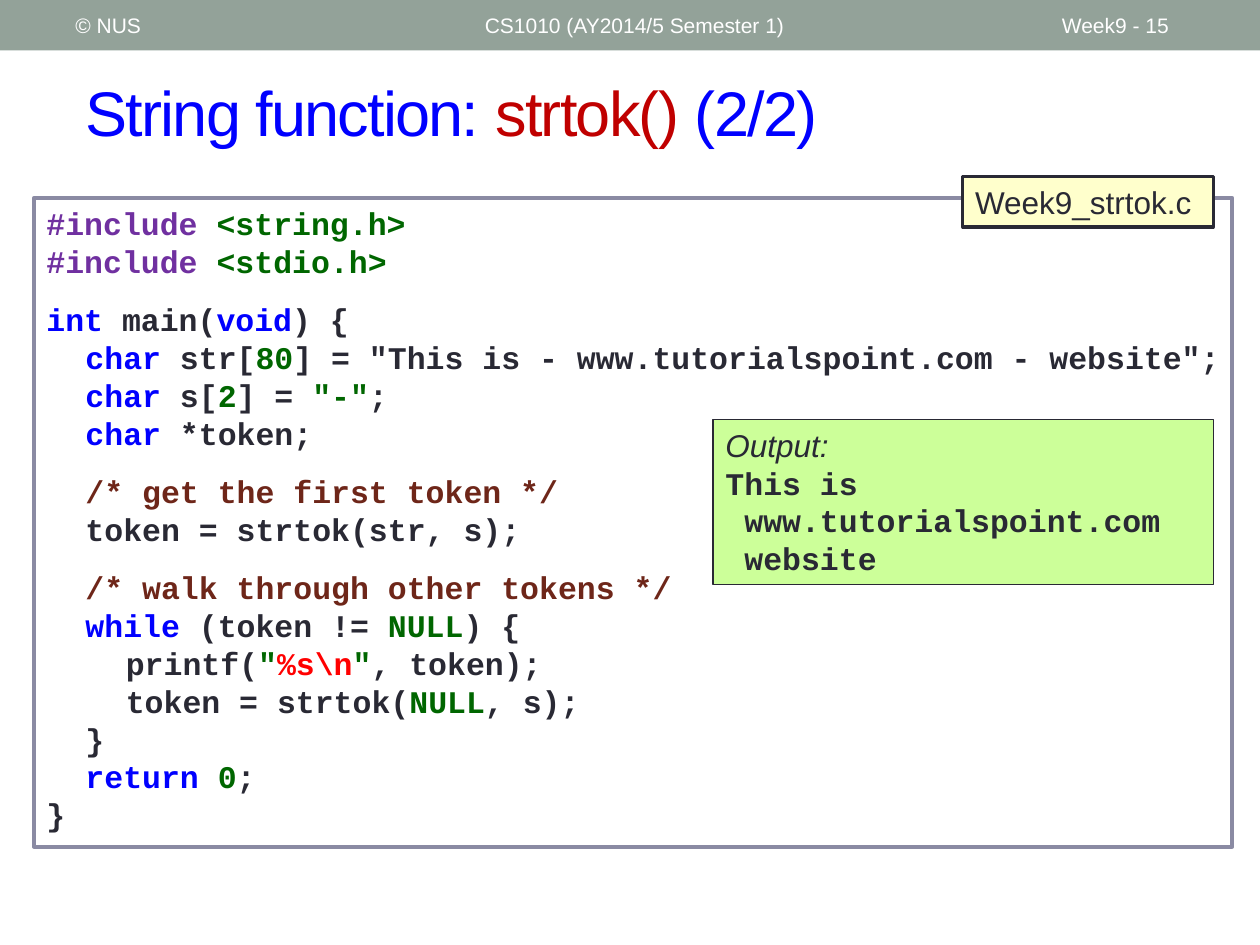
from pptx import Presentation
from pptx.dml.color import RGBColor
from pptx.enum.shapes import MSO_SHAPE
from pptx.enum.text import MSO_ANCHOR, PP_ALIGN
from pptx.oxml import parse_xml
from pptx.oxml.ns import nsdecls
from pptx.util import Inches, Pt

WHITE = RGBColor(0xFF, 0xFF, 0xFF)
SAGE = RGBColor(0x93, 0xA2, 0x99)
DARK = RGBColor(0x29, 0x29, 0x34)
BLUE = RGBColor(0x00, 0x00, 0xFF)
CRIMSON = RGBColor(0xC0, 0x00, 0x00)
RED = RGBColor(0xFF, 0x00, 0x00)
PURPLE = RGBColor(0x70, 0x30, 0xA0)
GREEN = RGBColor(0x00, 0x66, 0x00)
BROWN = RGBColor(0x6E, 0x26, 0x19)
FRAME = RGBColor(0x8A, 0x8A, 0xA3)
YELLOW = RGBColor(0xFF, 0xFF, 0xCC)
LIME = RGBColor(0xCC, 0xFF, 0x99)

presentation = Presentation()
presentation.slide_width = Inches(10)
presentation.slide_height = Inches(7.5)
slide = presentation.slides.add_slide(presentation.slide_layouts[6])


def add_box(left, top, width, height, fill=None, line=None, line_width=0):
    """Add a rectangle with top-left text and return it."""
    shape = slide.shapes.add_shape(
        MSO_SHAPE.RECTANGLE, Inches(left), Inches(top), Inches(width), Inches(height))
    shape.shadow.inherit = False
    if fill is None:
        shape.fill.background()
    else:
        shape.fill.solid()
        shape.fill.fore_color.rgb = fill
    if line is None:
        shape.line.fill.background()
    else:
        shape.line.color.rgb = line
        shape.line.width = Pt(line_width)
    shape.text_frame.vertical_anchor = MSO_ANCHOR.TOP
    shape.text_frame.paragraphs[0].alignment = PP_ALIGN.LEFT
    return shape


def add_run(paragraph, text, color, size=18, name="Arial", bold=False):
    """Append one formatted run to a paragraph and return it."""
    run = paragraph.add_run()
    run.text = text
    run.font.name = name
    run.font.size = Pt(size)
    run.font.bold = bold
    run.font.color.rgb = color
    return run


# Header band with its three labels
add_box(0, 0, 10, 0.4, SAGE)
for left, width, label in [
    (0.5, 3.17, "© NUS"),
    (3.75, 4.5, "CS1010 (AY2014/5 Semester 1)"),
    (8.33, 1.17, "Week9 - 15"),
]:
    header = slide.shapes.add_textbox(Inches(left), Inches(0.02), Inches(width), Inches(0.36))
    header.text_frame.word_wrap = True
    header.text_frame.vertical_anchor = MSO_ANCHOR.MIDDLE
    add_run(header.text_frame.paragraphs[0], label, WHITE, 12)

# Title, set slightly tight
title = slide.shapes.add_textbox(Inches(0.58), Inches(0.42), Inches(9.17), Inches(0.92))
title.text_frame.word_wrap = True
title.text_frame.vertical_anchor = MSO_ANCHOR.MIDDLE
for text, color in [("String function: ", BLUE), ("strtok() ", CRIMSON), ("(2/2)", BLUE)]:
    run = add_run(title.text_frame.paragraphs[0], text, color, 36)
    run.font._element.set("spc", "-100")

# Program listing: blocks are set apart by paragraph spacing
code_blocks = [
    [
        [("#include ", PURPLE), ("<string.h>", GREEN)],
        [("#include ", PURPLE), ("<stdio.h>", GREEN)],
    ],
    [
        [("int", BLUE), (" main(", DARK), ("void", BLUE), (") {", DARK)],
        [("\tchar ", BLUE), ("str[", DARK), ("80", GREEN),
         ('] = "This is - www.tutorialspoint.com - website";', DARK)],
        [("\tchar ", BLUE), ("s[", DARK), ("2", GREEN), ("] = ", DARK),
         ('"-"', GREEN), (";", DARK)],
        [("\tchar ", BLUE), ("*token;", DARK)],
    ],
    [
        [("\t/* get the first token */", BROWN)],
        [("\ttoken = strtok(str, s);", DARK)],
    ],
    [
        [("\t/* walk through other tokens */", BROWN)],
        [("\twhile", BLUE), (" (token != ", DARK), ("NULL", GREEN), (") {", DARK)],
        [("\t\tprintf(", DARK), ('"', GREEN), ("%s\\n", RED), ('"', GREEN),
         (", token);", DARK)],
        [("\t\ttoken = strtok(", DARK), ("NULL", GREEN), (", s);", DARK)],
        [("\t}", DARK)],
        [("\treturn ", BLUE), ("0", GREEN), (";", DARK)],
        [("}", DARK)],
    ],
]
code_frame = add_box(0.27, 1.57, 9.51, 5.15, line=FRAME, line_width=2.25).text_frame
code_frame.word_wrap = True
paragraph = code_frame.paragraphs[0]
for block_index, block in enumerate(code_blocks):
    for line_index, line in enumerate(block):
        if block_index or line_index:
            paragraph = code_frame.add_paragraph()
        paragraph.alignment = PP_ALIGN.LEFT
        if block_index and line_index == 0:
            paragraph.space_before = Pt(11.8)
        tab_list = parse_xml(f"<a:tabLst {nsdecls('a')}/>")
        for stop in (0.31, 0.63, 0.93):
            tab_list.append(parse_xml(
                f'<a:tab {nsdecls("a")} pos="{Inches(stop)}" algn="l"/>'))
        paragraph._p.get_or_add_pPr().append(tab_list)
        for text, color in line:
            add_run(paragraph, text, color, name="Courier New", bold=True)

# File name tag
tag = add_box(7.64, 1.4, 1.99, 0.4, YELLOW, DARK, 2.08)
add_run(tag.text_frame.paragraphs[0], "Week9_strtok.c", DARK)

# Program output
output_frame = add_box(5.66, 3.33, 3.97, 1.31, LIME, DARK, 0.75).text_frame
output_frame.word_wrap = True
heading = add_run(output_frame.paragraphs[0], "Output:", DARK)
heading.font.italic = True
for text in ["This is", " www.tutorialspoint.com", " website"]:
    paragraph = output_frame.add_paragraph()
    paragraph.alignment = PP_ALIGN.LEFT
    add_run(paragraph, text, DARK, name="Courier New", bold=True)

presentation.save("out.pptx")
